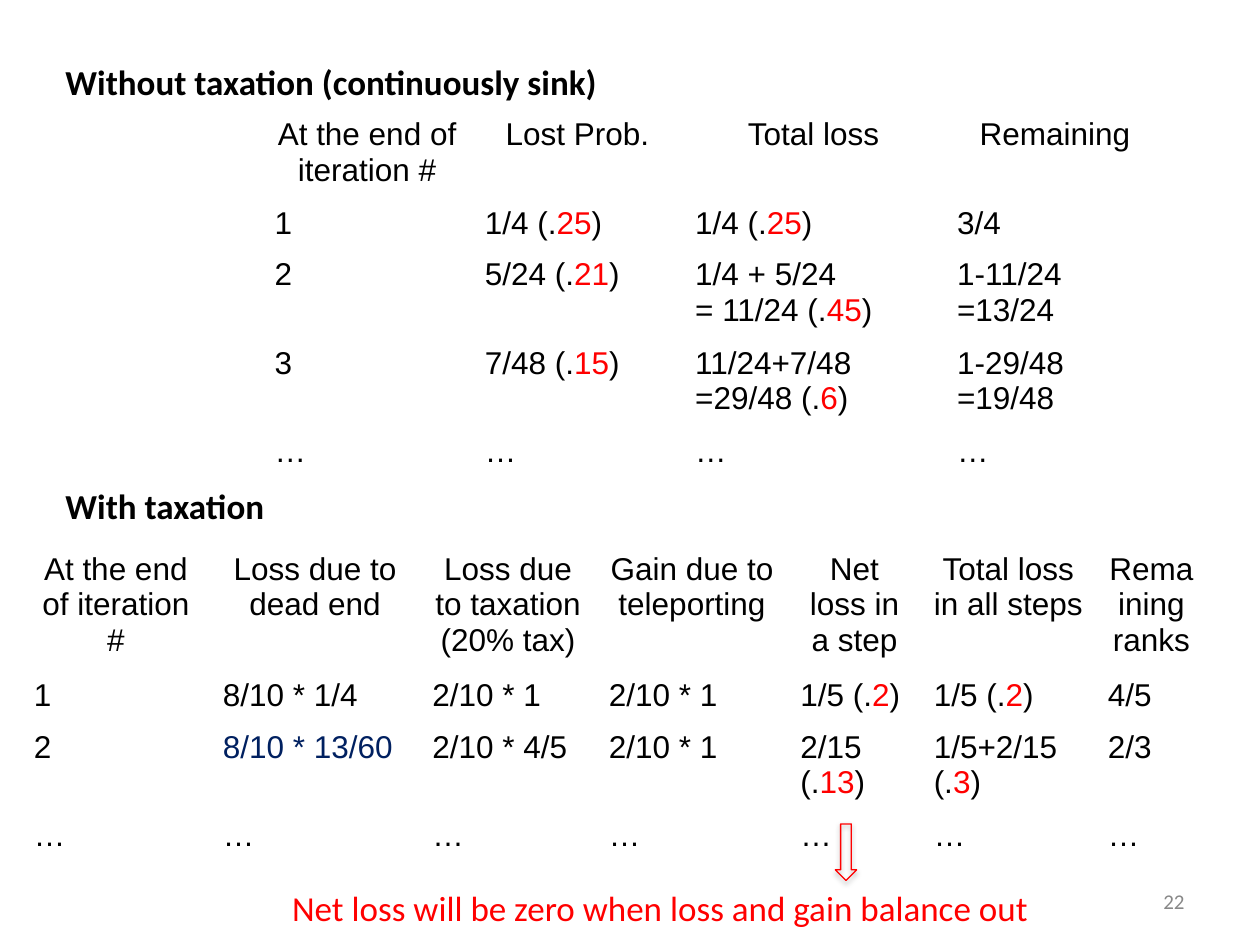
from dataclasses import dataclass

from lxml.etree import SubElement
from pptx import Presentation
from pptx.dml.color import RGBColor
from pptx.enum.shapes import MSO_SHAPE
from pptx.enum.text import MSO_ANCHOR, PP_ALIGN
from pptx.oxml.ns import qn
from pptx.util import Cm, Pt


@dataclass(frozen=True)
class Theme:
    black: RGBColor = RGBColor(0x00, 0x00, 0x00)
    red: RGBColor = RGBColor(0xFF, 0x00, 0x00)
    navy: RGBColor = RGBColor(0x00, 0x20, 0x60)
    grey: RGBColor = RGBColor(0x88, 0x88, 0x88)
    body_font: str = "Calibri"
    table_font: str = "Arial"
    heading_size: int = 20
    table_size: int = 18
    number_size: int = 12


T = Theme()


@dataclass(frozen=True)
class Label:
    text: str
    left: float
    top: float
    width: float
    height: float = 1.12
    size: int = T.heading_size
    color: RGBColor = T.black
    bold: bool = False
    wrap: bool = False
    align: PP_ALIGN = PP_ALIGN.LEFT
    anchor: MSO_ANCHOR = MSO_ANCHOR.TOP


@dataclass(frozen=True)
class Grid:
    """Cell text: | toggles red, a newline starts a paragraph, \\v breaks a line."""
    left: float
    top: float
    widths: tuple[float, ...]
    heights: tuple[float, ...]
    rows: tuple[tuple[str, ...], ...]
    navy_cells: tuple[tuple[int, int], ...] = ()


ROW = 1.04
LABELS = (
    Label("22", 18.21, 17.65, 5.92, 1.02, T.number_size, T.grey, wrap=True,
          align=PP_ALIGN.RIGHT, anchor=MSO_ANCHOR.MIDDLE),
    Label("Without taxation (continuously sink)", 1.07, 1.09, 11.3, bold=True),
    Label("With taxation", 1.07, 9.65, 4.55, bold=True),
    Label("Net loss will be zero when loss and gain balance out",
          5.64, 17.75, 15.49, color=T.red),
)
GRIDS = (
    Grid(5.28, 2.24, (4.24, 4.24, 5.28, 4.45), (ROW,) * 5, (
        ("At the end of iteration #", "Lost Prob.", "Total loss", "Remaining"),
        ("1", "1/4 (.|25|)", "1/4 (.|25|)", "3/4"),
        ("2", "5/24 (.|21|)", "1/4 + 5/24\n= 11/24 (.|45|)", "1-11/24 =13/24"),
        ("3", "7/48 (.|15|)", "11/24+7/48\n=29/48 (.|6|)", "1-29/48\n=19/48"),
        ("…",) * 4,
    )),
    Grid(0.43, 11, (3.81, 4.22, 3.56, 3.86, 2.69, 3.51, 2.26), (2.31,) + (ROW,) * 3, (
        ("At the end of iteration #", "Loss due to dead end",
         "Loss due to taxation (20% tax)", "Gain due to teleporting",
         "Net loss in a step", "Total loss in all steps", "Remaining ranks"),
        ("1", "8/10 * 1/4", "2/10 * 1", "2/10 * 1", "1/5 (.|2|)", "1/5 (.|2|)", "4/5"),
        ("2", "8/10 * 13/60", "2/10 * 4/5", "2/10 * 1",
         "2/15 \v(.|13|)", "1/5+2/15 \v(.|3|)", "2/3"),
        ("…",) * 7,
    ), navy_cells=((2, 1),)),
)


def add_run(p, text: str, font: str, size: int, color: RGBColor, bold: bool = False) -> None:
    r = p.add_run()
    r.text = text
    r.font.name = font
    r.font.size = Pt(size)
    r.font.color.rgb = color
    r.font.bold = bold


def add_label(s, label: Label) -> None:
    sp = s.shapes.add_textbox(*map(Cm, (label.left, label.top, label.width, label.height)))
    tf = sp.text_frame
    tf.word_wrap = label.wrap
    tf.vertical_anchor = label.anchor
    p = tf.paragraphs[0]
    p.alignment = label.align
    add_run(p, label.text, T.body_font, label.size, label.color, label.bold)


def fill_cell(cell, text: str, align: PP_ALIGN, color: RGBColor) -> None:
    cell.fill.background()
    tf = cell.text_frame
    for i, line in enumerate(text.split("\n")):
        p = tf.add_paragraph() if i else tf.paragraphs[0]
        p.alignment = align
        for j, part in enumerate(line.split("|")):
            for k, piece in enumerate(part.split("\v")):
                if k:
                    p.add_line_break()
                add_run(p, piece, T.table_font, T.table_size, T.red if j % 2 else color)


def add_grid(s, grid: Grid) -> None:
    table = s.shapes.add_table(
        len(grid.heights), len(grid.widths), Cm(grid.left), Cm(grid.top),
        Cm(sum(grid.widths)), Cm(sum(grid.heights))).table
    table.first_row = table.horz_banding = False
    for column, width in zip(table.columns, grid.widths):
        column.width = Cm(width)
    for row, height in zip(table.rows, grid.heights):
        row.height = Cm(height)
    for i, row in enumerate(grid.rows):
        for j, text in enumerate(row):
            fill_cell(table.cell(i, j), text,
                      PP_ALIGN.LEFT if i else PP_ALIGN.CENTER,
                      T.navy if (i, j) in grid.navy_cells else T.black)


def add_arrow(s) -> None:
    sp = s.shapes.add_shape(MSO_SHAPE.DOWN_ARROW, Cm(16.84), Cm(16.61), Cm(0.43), Cm(1.14))
    sp.fill.background()
    sp.line.color.rgb = T.red
    sp.line.width = Pt(0.75)
    sp.shadow.inherit = False
    effects = sp.element.spPr.find(qn("a:effectLst"))
    shadow = SubElement(effects, qn("a:outerShdw"), blurRad=str(Pt(3.1)),
                        dist=str(Pt(1.8)), dir="5400000", rotWithShape="0")
    color = SubElement(shadow, qn("a:srgbClr"), val=str(T.black))
    SubElement(color, qn("a:alpha"), val="35000")


def main() -> None:
    prs = Presentation()
    prs.slide_width, prs.slide_height = Cm(25.4), Cm(19.05)
    s = prs.slides.add_slide(prs.slide_layouts[6])
    number, *captions = LABELS
    add_label(s, number)
    for grid in GRIDS:
        add_grid(s, grid)
    for caption in captions:
        add_label(s, caption)
    add_arrow(s)
    prs.save("out.pptx")


if __name__ == "__main__":
    main()
